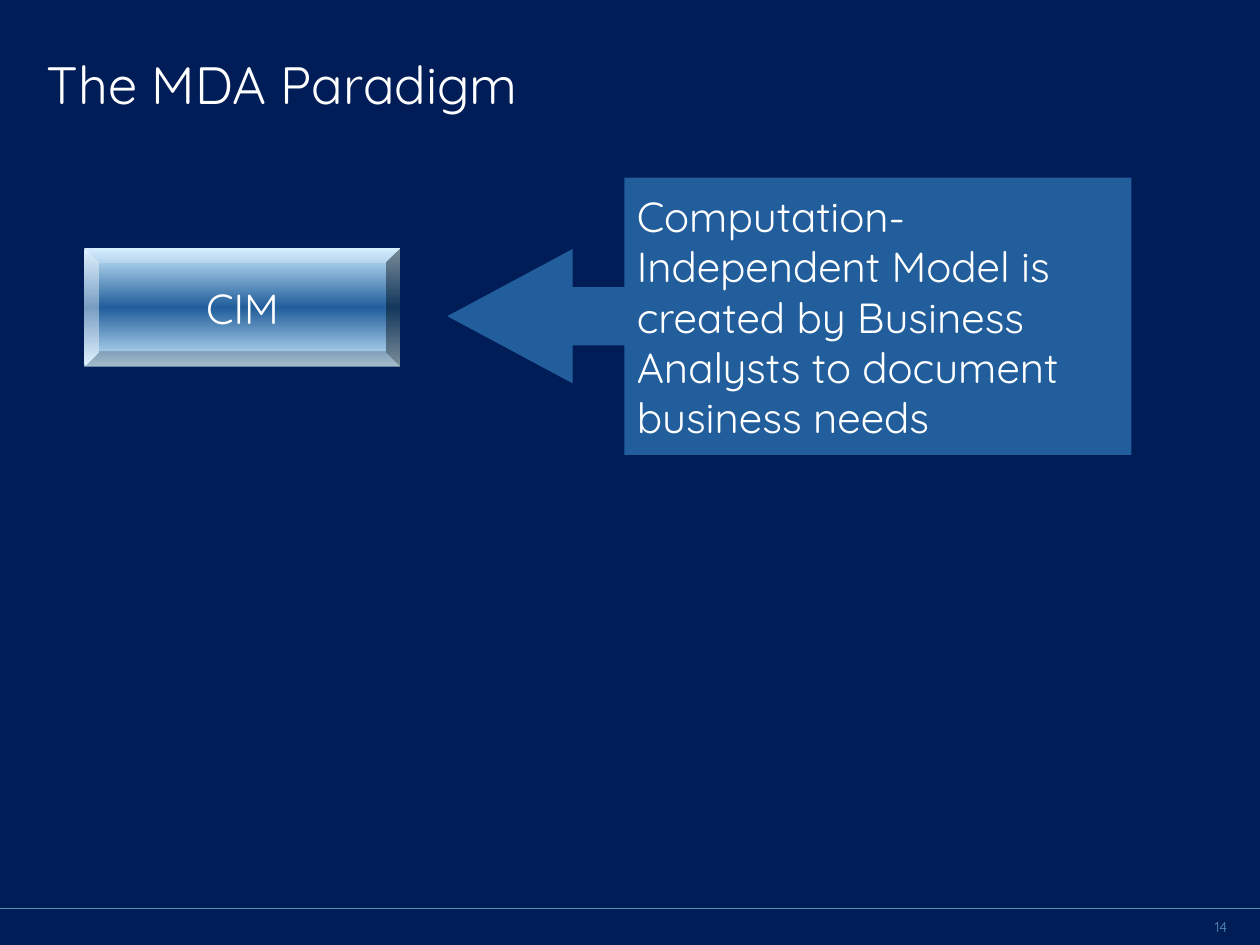
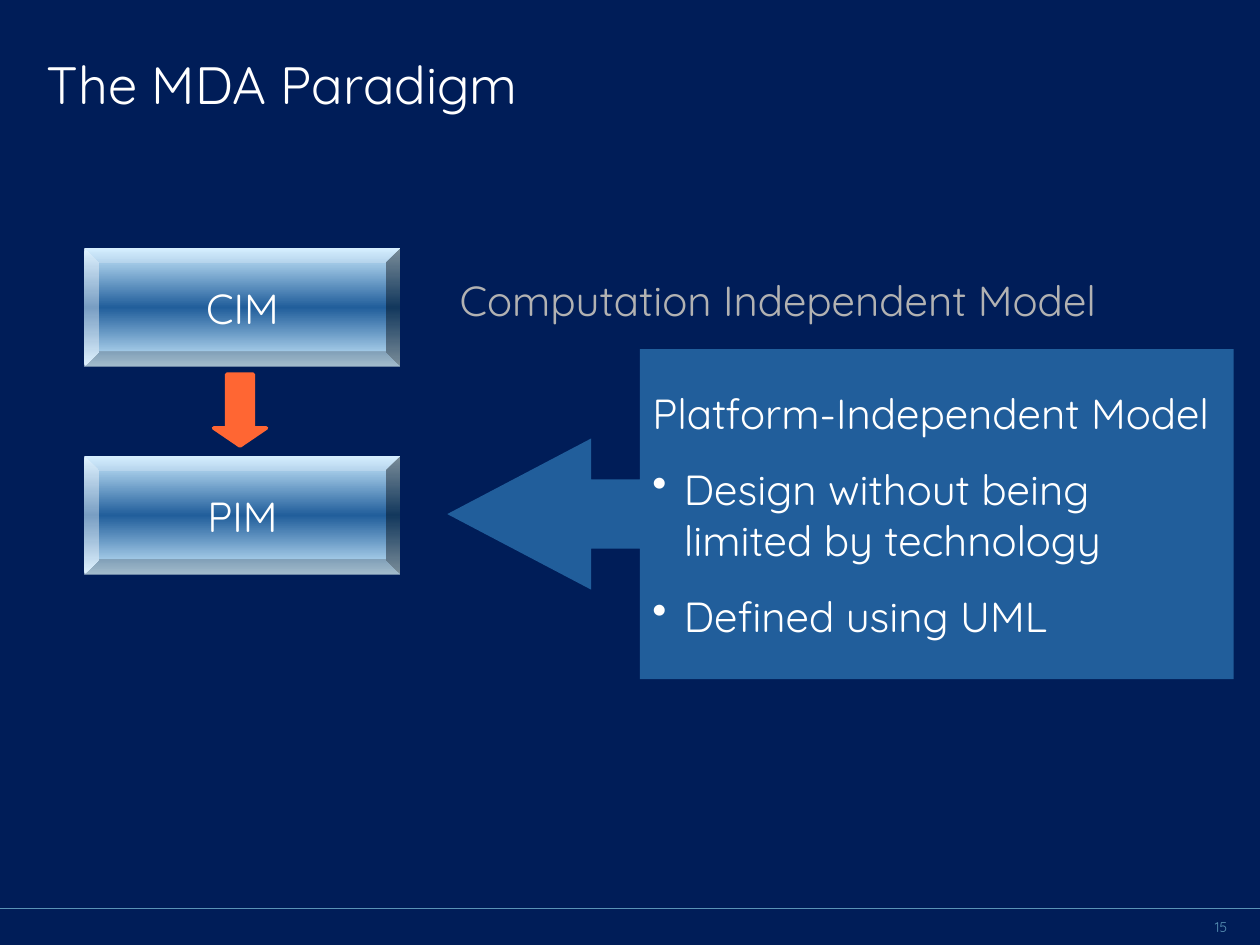
from copy import deepcopy

from lxml.etree import SubElement
from pptx import Presentation
from pptx.dml.color import RGBColor
from pptx.enum.shapes import MSO_CONNECTOR, MSO_SHAPE
from pptx.enum.text import MSO_ANCHOR, PP_ALIGN
from pptx.oxml.ns import qn
from pptx.util import Inches, Pt

FONT = "Quicksand"
HUES = {
    "navy": "001D58", "blue": "215E9B", "ice": "CCECFF", "steel": "5A93B6",
    "orange": "FF6633", "grey": "B2B2B2", "white": "FFFFFF",
}
WIDE, HIGH = 10, 7.5

# Grid: models stand in the left column, their notes in the right one
LEFT, RIGHT = 0.67, 3.55
TOP, STEP = 1.97, 1.65
BOX_W, BOX_H = 2.51, 0.94
NOTE_W = 5.43
RULE_Y = 7.21


def hue(name):
    return RGBColor.from_string(HUES[name])


def row(num):
    return TOP + num * STEP


def place(*sizes):
    return [Inches(size) for size in sizes]


def write(shape, lines, size=24, color="white", align=PP_ALIGN.LEFT,
          inset=0.1, before=15, anchor=MSO_ANCHOR.MIDDLE, wrap=True):
    """Fill a shape with paragraphs of one style."""
    frame = shape.text_frame
    frame.text = "\n".join(lines)
    frame.word_wrap = wrap
    frame.vertical_anchor = anchor
    frame.margin_left = frame.margin_right = Inches(inset)
    frame.margin_top = frame.margin_bottom = Inches(inset)
    for para in frame.paragraphs:
        para.alignment = align
        para.space_before = Pt(before)
        for run in para.runs:
            run.font.name = FONT
            run.font.size = Pt(size)
            run.font.color.rgb = hue(color)


def bullet(para, mark):
    """Give a paragraph a hanging indent, with a mark if there is one."""
    props = para._p.get_or_add_pPr()
    props.set("marL", str(Inches(0.25)))
    props.set("indent", str(-Inches(0.25)))
    if mark:
        tint = SubElement(props, qn("a:buClr"))
        SubElement(tint, qn("a:srgbClr"), val=HUES["white"])
        SubElement(props, qn("a:buChar"), char=mark)


def draw(slide, kind, box, adjust, color):
    """Add a flat preset shape without outline."""
    shape = slide.shapes.add_shape(kind, *place(*box))
    shape.shadow.inherit = False
    for num, value in enumerate(adjust):
        shape.adjustments[num] = value
    shape.fill.solid()
    shape.fill.fore_color.rgb = hue(color)
    shape.line.fill.background()
    return shape


def model(slide, num, name):
    """Add a bevelled model box with a light-dark-light gradient."""
    shape = draw(slide, MSO_SHAPE.BEVEL, (LEFT, row(num), BOX_W, BOX_H),
                 [0.125], "blue")
    shape.fill.gradient()
    shape.fill.gradient_angle = 90
    first, middle = shape.fill.gradient_stops
    first.color.rgb, first.position = hue("ice"), 0
    middle.color.rgb, middle.position = hue("blue"), 0.5
    stops = shape._element.spPr.find(qn("a:gradFill")).find(qn("a:gsLst"))
    last = deepcopy(stops[0])
    last.set("pos", "100000")
    stops.append(last)
    write(shape, [name], align=PP_ALIGN.CENTER, wrap=False)


def note(slide, top, width, height, adjust, lines):
    """Add a callout that points left at a model."""
    shape = draw(slide, MSO_SHAPE.LEFT_ARROW_CALLOUT,
                 (RIGHT, top, width, height), adjust, "blue")
    write(shape, lines)
    return shape


def arrow(slide, num):
    """Add the arrow that leads from one model row to the next."""
    wide, high = 0.42, 0.57
    left = LEFT + (BOX_W - wide) / 2 - 0.02
    top = row(num) + BOX_H + 0.06
    shape = draw(slide, MSO_SHAPE.DOWN_ARROW, (left, top, wide, high),
                 [0.5, 0.34], "orange")
    shape.line.color.rgb = hue("orange")
    shape.line.width = Pt(2)


def label(slide, box, text, **style):
    write(slide.shapes.add_textbox(*place(*box)), [text], **style)


def start(prs, title, number):
    """Add a slide with its title, footer rule and number."""
    slide = prs.slides.add_slide(prs.slide_layouts[5])
    head = slide.shapes.title
    head.left, head.top, head.width, head.height = place(0.37, 0.21, 8.02, 0.9)
    write(head, [title], size=30, inset=0, before=0)
    rule = slide.shapes.add_connector(
        MSO_CONNECTOR.STRAIGHT, *place(0, RULE_Y, WIDE, RULE_Y))
    rule.line.color.rgb = hue("steel")
    rule.line.width = Pt(0.75)
    SubElement(rule._element.spPr, qn("a:effectLst"))
    label(slide, (9.3, 7.28, 0.44, 0.15), str(number), size=8, color="steel",
          align=PP_ALIGN.RIGHT, inset=0, before=0)
    return slide


def main():
    prs = Presentation()
    prs.slide_width, prs.slide_height = place(WIDE, HIGH)
    back = prs.slide_master.background.fill
    back.solid()
    back.fore_color.rgb = hue("navy")
    title = "The MDA Paradigm"

    # First step: the business model
    slide = start(prs, title, 14)
    model(slide, 0, "CIM")
    note(slide, 1.41, NOTE_W, 2.2, [0.21, 0.242, 0.452, 0.741],
         ["Computation-Independent Model is created by Business Analysts "
          "to document business needs"])

    # Second step: the design model
    slide = start(prs, title, 15)
    for num, name in enumerate(["CIM", "PIM"]):
        model(slide, num, name)
    arrow(slide, 0)
    design = note(slide, 2.77, 6.24, 2.62, [0.21, 0.229, 0.436, 0.755],
                  ["Platform-Independent Model",
                   "Design without being limited by technology",
                   "Defined using UML"])
    for para, mark in zip(design.text_frame.paragraphs, ["", "•", "•"]):
        bullet(para, mark)
    label(slide, (RIGHT, 2.08, NOTE_W, 1), "Computation Independent Model",
          color="grey", anchor=MSO_ANCHOR.TOP)

    prs.save("out.pptx")


if __name__ == "__main__":
    main()
